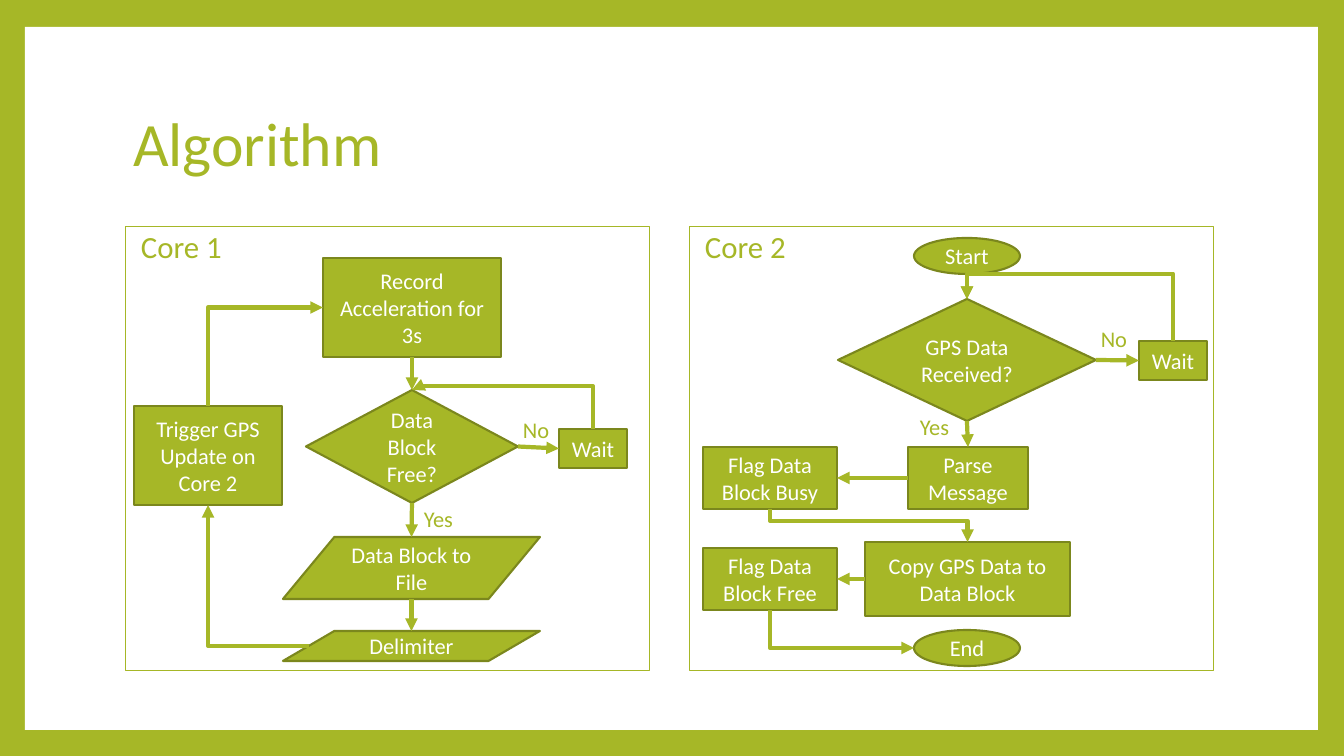
from lxml import etree
from pptx import Presentation
from pptx.dml.color import RGBColor
from pptx.enum.shapes import MSO_CONNECTOR, MSO_SHAPE
from pptx.enum.text import MSO_ANCHOR, PP_ALIGN
from pptx.oxml.ns import qn
from pptx.util import Pt

RECT, OVAL = MSO_SHAPE.RECTANGLE, MSO_SHAPE.OVAL
PROCESS, DECISION = MSO_SHAPE.FLOWCHART_PROCESS, MSO_SHAPE.FLOWCHART_DECISION
DATA = MSO_SHAPE.FLOWCHART_DATA
STRAIGHT, ELBOW = MSO_CONNECTOR.STRAIGHT, MSO_CONNECTOR.ELBOW
LEFT, CENTER = PP_ALIGN.LEFT, PP_ALIGN.CENTER
TOP, MIDDLE = MSO_ANCHOR.TOP, MSO_ANCHOR.MIDDLE
GREEN, DARK, WHITE = "A6B727", "7B871D", "FFFFFF"
FONT = "Calibri"


def px(v):
    """Turn pixels into EMU."""
    return round(v * 914400 / 100.8)


def rgb(value):
    """Turn a hex string into a colour."""
    return RGBColor.from_string(value)


def write(sp, text, size, color, align=LEFT, anchor=TOP, spacing=1.0):
    """Set and format the single paragraph of a shape."""
    tf = sp.text_frame
    tf.text = text
    tf.word_wrap = True
    tf.vertical_anchor = anchor
    p = tf.paragraphs[0]
    p.alignment = align
    p.line_spacing = spacing
    font = p.runs[0].font
    font.name, font.size, font.color.rgb = FONT, Pt(size), rgb(color)


def box(s, kind, at, fill=None, line=None, width=1.5):
    """Add a preset shape at left, top, width, height."""
    sp = s.shapes.add_shape(kind, *map(px, at))
    sp.shadow.inherit = False
    if fill:
        sp.fill.solid()
        sp.fill.fore_color.rgb = rgb(fill)
    else:
        sp.fill.background()
    if line:
        sp.line.color.rgb = rgb(line)
        sp.line.width = Pt(width)
    else:
        sp.line.fill.background()
    return sp


def panel(s, left, text):
    """Add the outlined panel of one core."""
    sp = box(s, RECT, (left, 227, 524, 444), line=GREEN, width=0.75)
    write(sp, text, 22, GREEN, spacing=0.9)
    sp.text_frame.margin_left = px(15)


def step(s, kind, text, *at):
    """Add a flowchart step."""
    sp = box(s, kind, at, GREEN, DARK)
    write(sp, text, 16, WHITE, CENTER, MIDDLE)
    return sp


def label(s, text, left, top):
    """Add the label of a branch."""
    write(s.shapes.add_textbox(px(left), px(top), px(52), px(37)), text, 16, GREEN)


def edge(sp, side):
    """Return the middle of one side of a step: l, t, r or b."""
    slant = sp.width // 10 if sp.auto_shape_type == DATA else 0
    cx, cy = sp.left + sp.width // 2, sp.top + sp.height // 2
    return {"l": (sp.left + slant, cy), "t": (cx, sp.top),
            "r": (sp.left + sp.width - slant, cy), "b": (cx, sp.top + sp.height)}[side]


def style(c):
    """Give a connector its line and arrowhead."""
    c.line.color.rgb = rgb(GREEN)
    c.line.width = Pt(3)
    etree.SubElement(c.line._get_or_add_ln(), qn("a:tailEnd"), type="triangle")
    etree.SubElement(c._element.spPr, qn("a:effectLst"))


def arrow(s, a, side_a, b, side_b):
    """Join two steps by a straight arrow."""
    style(s.shapes.add_connector(STRAIGHT, *edge(a, side_a), *edge(b, side_b)))


def elbow(s, a, side_a, b, side_b, bend=None):
    """Join two steps by a bent arrow; bend places the middle segment of three."""
    (x1, y1), (x2, y2) = edge(a, side_a), edge(b, side_b)
    dx, dy = x2 - x1, y2 - y1
    upright = side_a in "tb"
    w, h = (-dy, dx) if upright else (-dx, -dy)
    left, top = (x1 + x2 - w) // 2, (y1 + y2 - h) // 2
    c = s.shapes.add_connector(ELBOW, left, top, left + w, top + h)
    spPr = c._element.spPr
    spPr.find(qn("a:xfrm")).set("rot", str((270 if upright else 180) * 60000))
    geom = spPr.find(qn("a:prstGeom"))
    if bend is None:
        geom.set("prst", "bentConnector2")
    else:
        guides = geom.find(qn("a:avLst"))
        etree.SubElement(guides, qn("a:gd"), name="adj1", fmla=f"val {round(bend * 100000)}")
    style(c)


def core_1(s):
    """Draw the acceleration loop."""
    panel(s, 126, "Core 1")
    record = step(s, PROCESS, "Record Acceleration for 3s", 323, 258, 178, 99)
    free = step(s, DECISION, "Data Block Free?", 306, 390, 212, 113)
    wait = step(s, PROCESS, "Wait", 559, 429, 68, 39)
    trigger = step(s, PROCESS, "Trigger GPS Update on Core 2", 134, 406, 148, 99)
    to_file = step(s, DATA, "Data Block to File", 283, 537, 257, 62)
    delimiter = step(s, DATA, "Delimiter", 283, 631, 257, 30)
    for a, b in ((record, free), (free, to_file), (to_file, delimiter)):
        arrow(s, a, "b", b, "t")
    arrow(s, free, "r", wait, "l")
    elbow(s, wait, "t", free, "t", 1.1)
    elbow(s, delimiter, "l", trigger, "b")
    elbow(s, trigger, "t", record, "l")
    label(s, "No", 513, 411)
    label(s, "Yes", 414, 500)


def core_2(s):
    """Draw the GPS update."""
    panel(s, 690, "Core 2")
    start = step(s, OVAL, "Start", 914, 238, 106, 36)
    received = step(s, DECISION, "GPS Data Received?", 838, 299, 258, 122)
    wait = step(s, PROCESS, "Wait", 1139, 341, 68, 39)
    parse = step(s, PROCESS, "Parse Message", 908, 447, 120, 62)
    busy = step(s, PROCESS, "Flag Data Block Busy", 703, 447, 134, 62)
    copy_gps = step(s, RECT, "Copy GPS Data to Data Block", 865, 542, 205, 74)
    free = step(s, PROCESS, "Flag Data Block Free", 703, 548, 134, 62)
    end = step(s, OVAL, "End", 914, 630, 106, 36)
    arrow(s, start, "b", received, "t")
    arrow(s, received, "r", wait, "l")
    arrow(s, received, "b", parse, "t")
    arrow(s, parse, "l", busy, "r")
    arrow(s, copy_gps, "l", free, "r")
    elbow(s, wait, "t", received, "t", 1.6)
    elbow(s, busy, "b", copy_gps, "t", 0.36)
    elbow(s, free, "b", end, "l")
    label(s, "No", 1091, 320)
    label(s, "Yes", 910, 408)


def main():
    """Build the slide and save it."""
    prs = Presentation()
    prs.slide_width, prs.slide_height = px(1344), px(756)
    s = prs.slides.add_slide(prs.slide_layouts[5])
    s.background.fill.solid()
    s.background.fill.fore_color.rgb = rgb(GREEN)
    page = box(s, RECT, (25, 27, 1293, 703), WHITE)
    title = s.shapes.title
    page._element.addnext(title._element)
    title.left, title.top, title.width, title.height = map(px, (123, 72, 1089, 149))
    write(title, "Algorithm", 44, GREEN, anchor=MIDDLE, spacing=0.9)
    core_1(s)
    core_2(s)
    prs.save("out.pptx")


if __name__ == "__main__":
    main()
